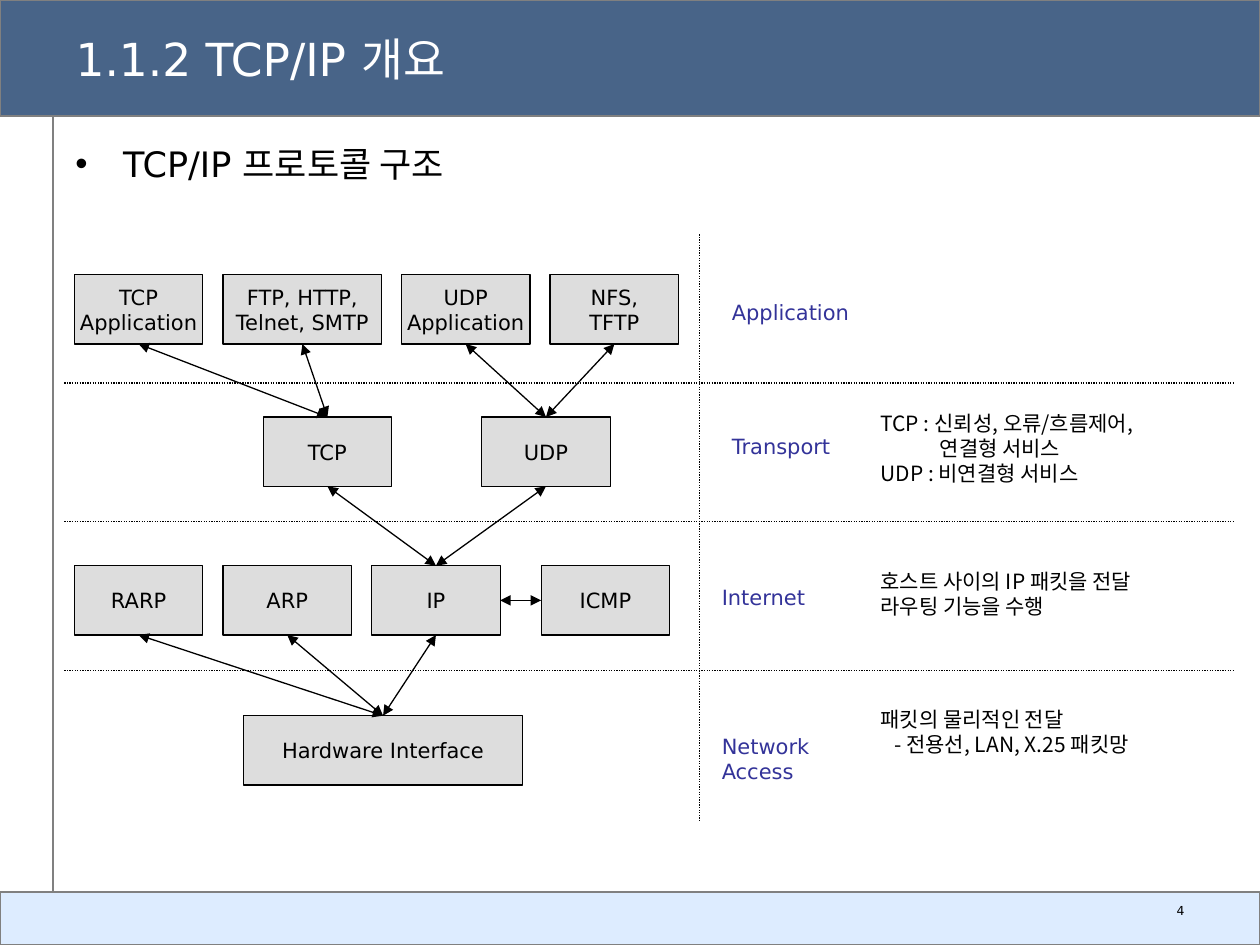
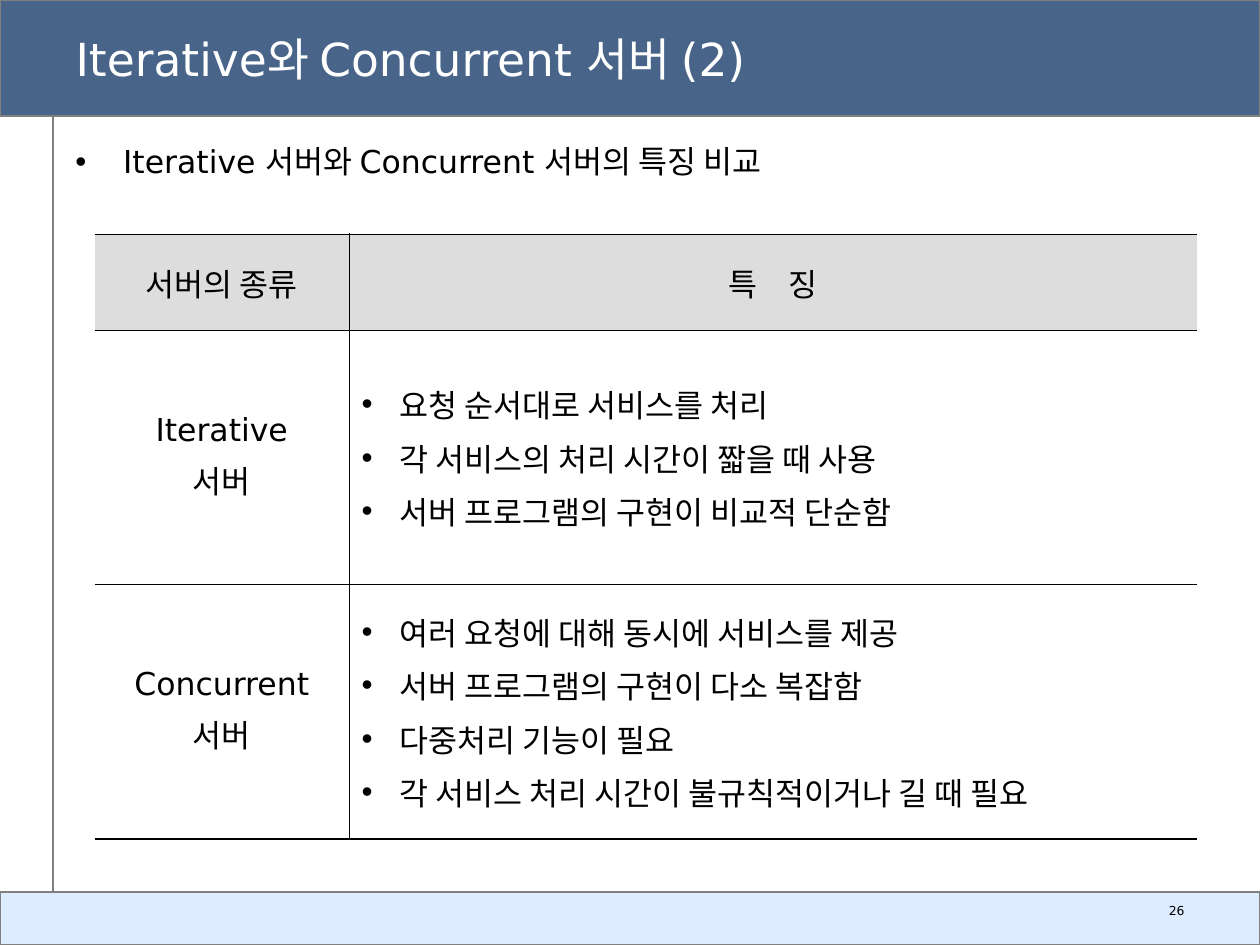
"""Build two lecture slides on TCP/IP layers and server types."""
from lxml.etree import SubElement
from pptx import Presentation
from pptx.dml.color import RGBColor
from pptx.enum.dml import MSO_LINE_DASH_STYLE as Dash
from pptx.enum.shapes import MSO_CONNECTOR as Conn, MSO_SHAPE as Shape
from pptx.enum.text import MSO_ANCHOR as Anchor, PP_ALIGN as Align
from pptx.oxml.ns import qn
from pptx.util import Inches, Pt

NAVY = RGBColor(0x48, 0x64, 0x88)
PALE = RGBColor(0xDD, 0xEC, 0xFF)
EDGE = RGBColor(0x80, 0x80, 0x80)
GREY = RGBColor(0xDD, 0xDD, 0xDD)
BLUE = RGBColor(0x33, 0x33, 0x99)
BLACK = RGBColor(0, 0, 0)
WHITE = RGBColor(255, 255, 255)
SANS, KOR = "DejaVu Sans", "Noto Sans CJK KR"

WIDE, HIGH = 10, 7.5
HEAD, FOOT, RAIL = 0.92, 0.42, 0.42

LEFT, STEP, BOX_W, BOX_H = 0.59, 1.18, 1.02, 0.55
TIERS = [
    (2.18, [("TCP\nApplication", 0, 1.02), ("FTP, HTTP,\nTelnet, SMTP", 1, 1.26),
            ("UDP\nApplication", 2.2, 1.02), ("NFS,\nTFTP", 3.2, 1.02)]),
    (3.31, [("TCP", 1.27, 1.02), ("UDP", 2.74, 1.02)]),
    (4.49, [("RARP", 0, 1.02), ("ARP", 1, 1.02), ("IP", 2, 1.02),
            ("ICMP", 3.14, 1.02)]),
    (5.68, [("Hardware Interface", 1.14, 2.21)]),
]
LINKS = {
    "Hardware Interface": ["RARP", "ARP", "IP"],
    "IP": ["TCP", "UDP"],
    "TCP": ["TCP\nApplication", "FTP, HTTP,\nTelnet, SMTP"],
    "UDP": ["UDP\nApplication", "NFS,\nTFTP"],
}
RULES = [(0.51, 3.04, 9.8, 3.04), (0.51, 4.14, 9.8, 4.14),
         (0.51, 5.32, 9.8, 5.32), (5.55, 1.86, 5.55, 6.51)]
LAYERS = [("Application", 5.71, 2.33), ("Transport", 5.71, 3.39),
          ("Internet", 5.63, 4.59), ("Network Access", 5.63, 5.77)]
NOTES = [
    (3.21, [("TCP : 신뢰성, 오류/흐름제어,", 0), ("연결형 서비스", 0.47),
            ("UDP : 비연결형 서비스", 0)]),
    (4.46, [("호스트 사이의 IP 패킷을 전달", 0), ("라우팅 기능을 수행", 0)]),
    (5.56, [("패킷의 물리적인 전달", 0), ("- 전용선, LAN, X.25 패킷망", 0.11)]),
]

COLS, ROWS = (2.02, 6.73), (0.76, 2.02, 2.02)
CELLS = [
    (["서버의 종류"], ["특 징"]),
    (["Iterative", "서버"],
     ["요청 순서대로 서비스를 처리", "각 서비스의 처리 시간이 짧을 때 사용",
      "서버 프로그램의 구현이 비교적 단순함"]),
    (["Concurrent", "서버"],
     ["여러 요청에 대해 동시에 서비스를 제공", "서버 프로그램의 구현이 다소 복잡함",
      "다중처리 기능이 필요", "각 서비스 처리 시간이 불규칙적이거나 길 때 필요"]),
]


def style(frame, size, color=BLACK, face=SANS, align=Align.LEFT, gap=0):
    for num, para in enumerate(frame.paragraphs):
        para.alignment = align
        para.space_before = Pt(gap if num else 0)
        for run in para.runs:
            font = run.font
            font.size, font.name, font.bold = Pt(size), face, False
            font.color.rgb = color
            SubElement(run._r.get_or_add_rPr(), qn("a:ea"), typeface=KOR)


def indent(para, left, first=0):
    props = para._p.get_or_add_pPr()
    props.set("marL", str(Inches(left)))
    props.set("indent", str(Inches(first)))
    return props


def bullet(para, width):
    props = indent(para, width, -width)
    SubElement(props, qn("a:buFont"), typeface="Arial")
    SubElement(props, qn("a:buChar"), char="•")


def block(slide, x, y, w, h, fill, edge):
    shape = slide.shapes.add_shape(Shape.RECTANGLE, *map(Inches, (x, y, w, h)))
    shape.shadow.inherit = False
    shape.fill.solid()
    shape.fill.fore_color.rgb = fill
    shape.line.color.rgb, shape.line.width = edge, Pt(0.75)
    return shape


def line(slide, ends=(0, 0, 0, 0), color=BLACK, dash=None):
    conn = slide.shapes.add_connector(Conn.STRAIGHT, *map(Inches, ends))
    conn.line.color.rgb, conn.line.width = color, Pt(0.75)
    if dash:
        conn.line.dash_style = dash
    SubElement(conn.element.spPr, qn("a:effectLst"))
    return conn


def link(slide, start, end, sites):
    conn = line(slide)
    conn.begin_connect(start, sites[0])
    conn.end_connect(end, sites[1])
    stroke = conn.line._get_or_add_ln()
    for tag in ("a:headEnd", "a:tailEnd"):
        SubElement(stroke, qn(tag), type="triangle")


def label(slide, x, y, w, h, text):
    frame = slide.shapes.add_textbox(*map(Inches, (x, y, w, h))).text_frame
    frame.word_wrap = True
    frame.text = text
    return frame


def brand(slide, layout):
    parts = [block(slide, 0, HIGH - FOOT, WIDE, FOOT, PALE, EDGE),
             block(slide, 0, 0, WIDE, HEAD, NAVY, EDGE),
             line(slide, (RAIL, HEAD, RAIL, HIGH - FOOT), EDGE)]
    for part in parts:
        layout.shapes.element.append(part.element)


def start(slide, title, point, size, num):
    head = slide.shapes.title
    head.left, head.top, head.width, head.height = map(Inches, (0.5, 0.17, 9, 0.58))
    head.text_frame.text = title
    head.text_frame.vertical_anchor = Anchor.MIDDLE
    style(head.text_frame, 26, WHITE)
    frame = label(slide, 0.5, 1.08, 9, 0.5, point)
    bullet(frame.paragraphs[0], 0.38)
    style(frame, size)
    page = label(slide, 7.17, 7.14, 2.33, 0.25, num)
    style(page, 7.1, align=Align.RIGHT)
    page.paragraphs[0].line_spacing = 0.8


def stack(slide):
    boxes = {}
    for top, tier in TIERS:
        for text, col, width in tier:
            box = block(slide, LEFT + col * STEP, top, width, BOX_H, GREY, BLACK)
            frame = box.text_frame
            frame.text, frame.word_wrap = text, False
            frame.vertical_anchor = Anchor.MIDDLE
            style(frame, 12, align=Align.CENTER)
            boxes[text] = box
    for low, highs in LINKS.items():
        for high in highs:
            link(slide, boxes[low], boxes[high], (0, 2))
    link(slide, boxes["ICMP"], boxes["IP"], (1, 3))
    for ends in RULES:
        line(slide, ends, dash=Dash.ROUND_DOT)
    for text, x, y in LAYERS:
        style(label(slide, x, y, 1.18, 0.3, text), 12, BLUE)
    for top, rows in NOTES:
        frame = label(slide, 6.89, top, 2.91, 0.5, "\n".join(t for t, _ in rows))
        for para, (_, left) in zip(frame.paragraphs, rows):
            indent(para, left)
        style(frame, 12, face=KOR)


def border(cell, side, width):
    props = cell._tc.get_or_add_tcPr()
    edge = SubElement(props, qn("a:" + side), w=str(Pt(width)))
    if width:
        fill = SubElement(edge, qn("a:solidFill"))
        SubElement(fill, qn("a:srgbClr"), val=str(BLACK))
    else:
        SubElement(edge, qn("a:noFill"))


def compare(slide):
    spot = map(Inches, (0.75, 1.86, sum(COLS), sum(ROWS)))
    table = slide.shapes.add_table(len(ROWS), len(COLS), *spot).table
    table.first_row = table.horz_banding = False
    for col, width in zip(table.columns, COLS):
        col.width = Inches(width)
    for row, height in zip(table.rows, ROWS):
        row.height = Inches(height)
    last = len(ROWS) - 1
    for r, pair in enumerate(CELLS):
        for c, lines in enumerate(pair):
            cell = table.cell(r, c)
            cell.vertical_anchor = Anchor.MIDDLE
            frame = cell.text_frame
            frame.text = "\n".join(lines)
            listed = r > 0 and c == 1
            if listed:
                for para in frame.paragraphs:
                    bullet(para, 0.3)
            style(frame, 18, align=Align.LEFT if listed else Align.CENTER, gap=4.5)
            border(cell, "lnL", 0.45 if c else 0)
            border(cell, "lnR", 0 if c else 0.45)
            border(cell, "lnT", 0.45 if r else 1.08)
            border(cell, "lnB", 1.08 if r == last else 0.45)
            if r:
                cell.fill.background()
            else:
                cell.fill.solid()
                cell.fill.fore_color.rgb = GREY
    spread = table.cell(0, 1).text_frame.paragraphs[0].runs[0]
    spread._r.get_or_add_rPr().set("spc", "700")


def main():
    deck = Presentation()
    deck.slide_width, deck.slide_height = Inches(WIDE), Inches(HIGH)
    layout = deck.slide_layouts[5]
    first, second = (deck.slides.add_slide(layout) for _ in range(2))
    brand(first, layout)
    start(first, "1.1.2 TCP/IP 개요", "TCP/IP 프로토콜 구조", 20, "4")
    stack(first)
    start(second, "Iterative와 Concurrent 서버 (2)",
          "Iterative 서버와 Concurrent 서버의 특징 비교", 18, "26")
    compare(second)
    deck.save("out.pptx")


if __name__ == "__main__":
    main()
